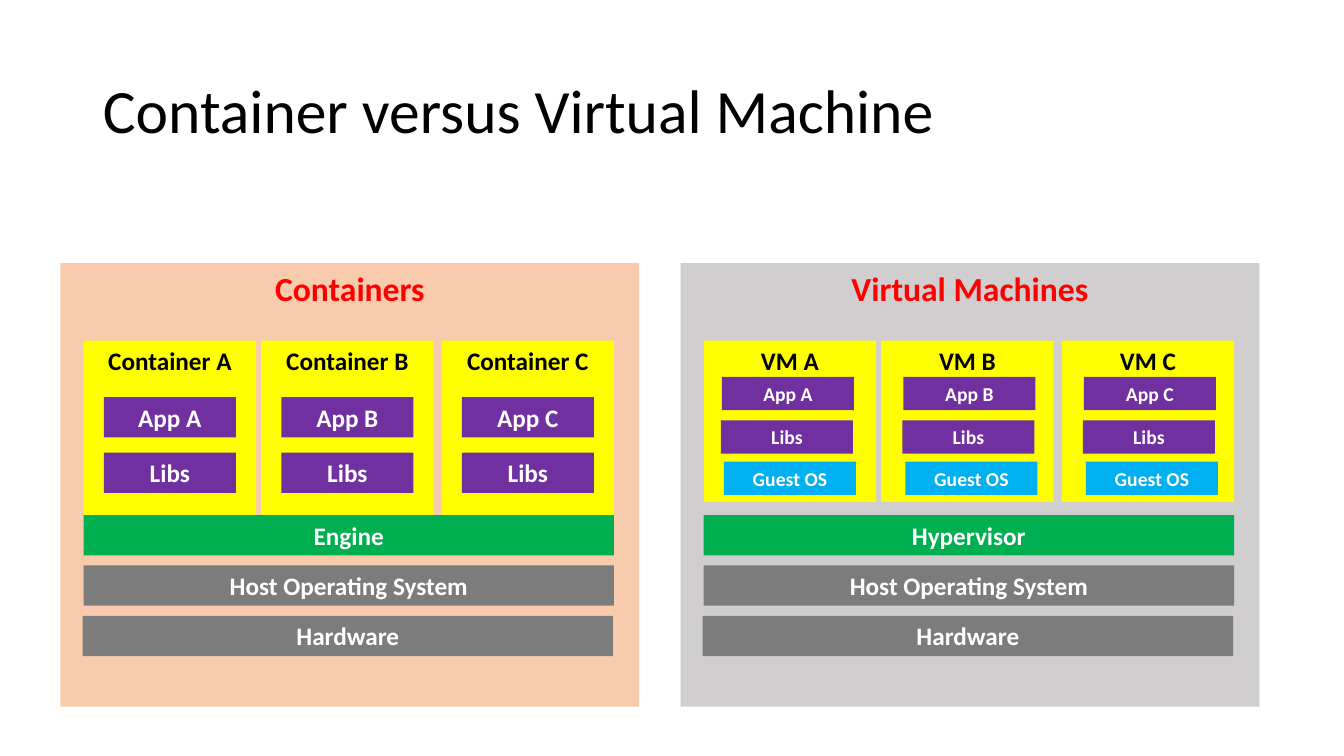
from pptx import Presentation
from pptx.dml.color import RGBColor
from pptx.enum.shapes import MSO_SHAPE
from pptx.enum.text import MSO_ANCHOR, PP_ALIGN
from pptx.util import Inches, Pt

FONT = "Calibri"
BLACK = RGBColor(0x00, 0x00, 0x00)
WHITE = RGBColor(0xFF, 0xFF, 0xFF)
RED = RGBColor(0xFF, 0x00, 0x00)
YELLOW = RGBColor(0xFF, 0xFF, 0x00)
PURPLE = RGBColor(0x70, 0x30, 0xA0)
GREEN = RGBColor(0x00, 0xB0, 0x50)
GRAY = RGBColor(0x7C, 0x7C, 0x7C)
BLUE = RGBColor(0x00, 0xB0, 0xF0)
PEACH = RGBColor(0xF8, 0xCB, 0xAD)
SILVER = RGBColor(0xD0, 0xCE, 0xCE)

# Grid in inches: columns are measured from the left edge of a panel
PANEL_TOP, PANEL_WIDTH, PANEL_HEIGHT = 2.61, 5.74, 4.4
UNIT_COLUMNS = {"A": 0.23, "B": 1.99, "C": 3.78}
UNIT_TOP, UNIT_WIDTH, PART_WIDTH = 3.38, 1.71, 1.31
STACK_WIDTH, STACK_TOP, STACK_STEP, STACK_HEIGHT = 5.26, 5.11, 0.5, 0.4


def write_text(frame, text, size=18, color=WHITE, bold=True,
               align=PP_ALIGN.CENTER, anchor=MSO_ANCHOR.TOP, spacing=1.0):
    frame.word_wrap = True
    frame.vertical_anchor = anchor
    para = frame.paragraphs[0]
    para.alignment = align
    para.line_spacing = spacing
    span = para.add_run()
    span.text = text
    span.font.name = FONT
    span.font.size = Pt(size)
    span.font.bold = bold
    span.font.color.rgb = color


def add_box(group, text, left, top, width, height, fill, **text_format):
    box = group.shapes.add_shape(MSO_SHAPE.RECTANGLE, Inches(left), Inches(top),
                                 Inches(width), Inches(height))
    box.shadow.inherit = False
    box.fill.solid()
    box.fill.fore_color.rgb = fill
    box.line.fill.background()
    write_text(box.text_frame, text, **text_format)


def add_unit(group, name, left, height, parts, part_height, part_size, inset):
    """Draw one container or virtual machine with its inner parts."""
    add_box(group, name, left, UNIT_TOP, UNIT_WIDTH, height, YELLOW, color=BLACK)
    for text, top, shift, fill in parts:
        add_box(group, text, left + inset + shift, top, PART_WIDTH, part_height,
                fill, size=part_size)


def add_panel(page, heading, left, fill, unit_name, manager, parts, insets,
              unit_height, part_height, part_size):
    group = page.shapes.add_group_shape()
    add_box(group, heading, left, PANEL_TOP, PANEL_WIDTH, PANEL_HEIGHT, fill,
            size=24, color=RED)

    # Units side by side
    for (letter, column), inset in zip(UNIT_COLUMNS.items(), insets):
        app = (f"App {letter}", *parts[0])
        add_unit(group, f"{unit_name} {letter}", left + column, unit_height,
                 [app, *parts[1:]], part_height, part_size, inset)

    # Shared layers below
    layers = [(manager, 0.23, GREEN), ("Host Operating System", 0.23, GRAY),
              ("Hardware", 0.22, GRAY)]
    for row, (text, column, color) in enumerate(layers):
        add_box(group, text, left + column, STACK_TOP + row * STACK_STEP,
                STACK_WIDTH, STACK_HEIGHT, color)


def add_title(page, text):
    title = page.shapes.title
    title.left, title.top = Inches(0.92), Inches(0.4)
    title.width, title.height = Inches(11.5), Inches(1.45)
    write_text(title.text_frame, text, size=44, color=BLACK, bold=False,
               align=PP_ALIGN.LEFT, anchor=MSO_ANCHOR.MIDDLE, spacing=0.9)


def main():
    deck = Presentation()
    deck.slide_width, deck.slide_height = Inches(13.33), Inches(7.5)
    page = deck.slides.add_slide(deck.slide_layouts[5])
    add_title(page, "Container versus Virtual Machine")

    # Parts are top, sideways shift and fill; the first one is the app
    add_panel(page, "Containers", 0.6, PEACH, "Container", "Engine",
              parts=[(3.94, 0, PURPLE), ("Libs", 4.49, 0, PURPLE)],
              insets=(0.2, 0.2, 0.2),
              unit_height=1.9, part_height=0.4, part_size=18)
    add_panel(page, "Virtual Machines", 6.75, SILVER, "VM", "Hypervisor",
              parts=[(3.74, 0, PURPLE), ("Libs", 4.17, -0.01, PURPLE),
                     ("Guest OS", 4.58, 0.02, BLUE)],
              insets=(0.18, 0.22, 0.22),
              unit_height=1.6, part_height=0.33, part_size=14)
    deck.save("out.pptx")


if __name__ == "__main__":
    main()
